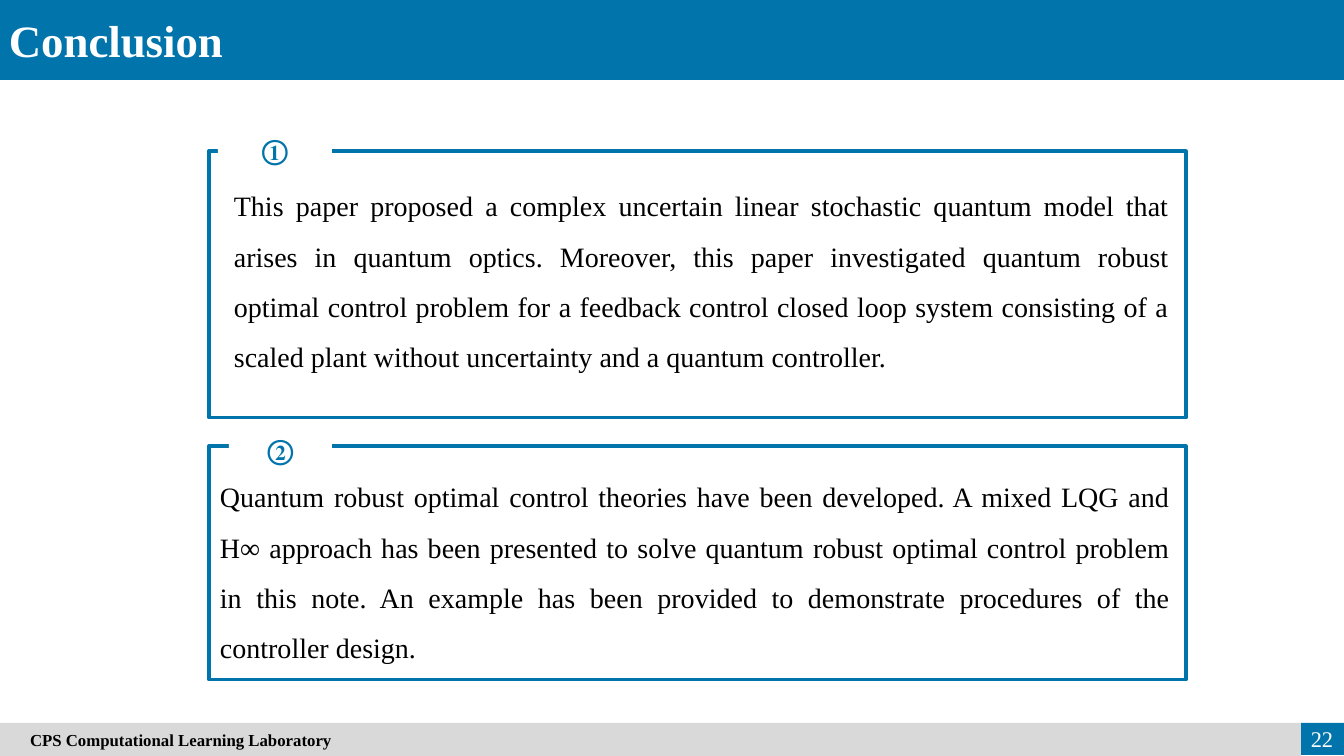
from pptx import Presentation
from pptx.dml.color import RGBColor
from pptx.enum.shapes import MSO_SHAPE
from pptx.enum.text import MSO_ANCHOR, PP_ALIGN
from pptx.util import Emu, Pt

RECTANGLE = MSO_SHAPE.RECTANGLE
TOP, MIDDLE = MSO_ANCHOR.TOP, MSO_ANCHOR.MIDDLE
LEFT, CENTER, RIGHT, JUSTIFY = (
    PP_ALIGN.LEFT, PP_ALIGN.CENTER, PP_ALIGN.RIGHT, PP_ALIGN.JUSTIFY)

FONT = "Times New Roman"
BLUE, WHITE, BLACK, GRAY = "0174AB", "FFFFFF", "000000", "D9D9D9"
EMU_PER_PX = 914400 / 100.8

FINDINGS = [
    {
        "frame": (209, 151, 977, 267),
        "badge": (218, 122, 114, 55),
        "body": (224, 167, 955, 242),
        "number": "①",
        "text": "This paper proposed a complex uncertain linear stochastic "
                "quantum model that arises in quantum optics. Moreover, this "
                "paper investigated quantum robust optimal control problem "
                "for a feedback control closed loop system consisting of a "
                "scaled plant without uncertainty and a quantum controller.",
    },
    {
        "frame": (209, 446, 977, 234),
        "badge": (229, 422, 103, 55),
        "body": (210, 458, 970, 208),
        "number": "②",
        "text": "Quantum robust optimal control theories have been developed. "
                "A mixed LQG and H∞ approach has been presented to solve "
                "quantum robust optimal control problem in this note. An "
                "example has been provided to demonstrate procedures of the "
                "controller design.",
    },
]


def px(length):
    return Emu(round(length * EMU_PER_PX))


def color(value):
    return RGBColor.from_string(value)


def add_rectangle(page, area, fill=None, line=None):
    box = page.shapes.add_shape(RECTANGLE, *map(px, area))
    box.shadow.inherit = False
    if fill:
        box.fill.solid()
        box.fill.fore_color.rgb = color(fill)
    else:
        box.fill.background()
    if line:
        box.line.color.rgb = color(line)
        box.line.width = Pt(2.25)
    else:
        box.line.fill.background()
    return box


def write(box, text, size, ink, bold=False, align=LEFT, anchor=MIDDLE,
          spacing=1.0):
    frame = box.text_frame
    frame.word_wrap = True
    frame.vertical_anchor = anchor
    para = frame.paragraphs[0]
    para.text = text
    para.alignment = align
    para.line_spacing = spacing
    for span in para.runs:
        span.font.name = FONT
        span.font.size = Pt(size)
        span.font.bold = bold
        span.font.color.rgb = color(ink)


def add_text(page, area, text, size, ink, **style):
    box = page.shapes.add_textbox(*map(px, area))
    write(box, text, size, ink, **style)


def add_finding(page, finding):
    add_rectangle(page, finding["frame"], line=BLUE)
    badge = add_rectangle(page, finding["badge"], fill=WHITE)
    write(badge, finding["number"], 20, BLUE, bold=True, align=CENTER)
    add_text(page, finding["body"], finding["text"], 20, BLACK,
             align=JUSTIFY, anchor=TOP, spacing=1.5)


def add_footer(page):
    add_rectangle(page, (1301, 723, 43, 32), fill=BLUE)
    footer = add_rectangle(page, (0, 723, 1301, 33), fill=GRAY)
    write(footer, "CPS Computational Learning Laboratory", 12, BLACK, bold=True)
    footer.text_frame.margin_left = px(30)
    add_text(page, (1279, 719, 64, 40), "22", 16, WHITE, align=RIGHT)


def main():
    deck = Presentation()
    deck.slide_width, deck.slide_height = px(1344), px(756)
    page = deck.slides.add_slide(deck.slide_layouts[6])
    add_rectangle(page, (0, 0, 1344, 80), fill=BLUE)
    add_text(page, (-1, 8, 541, 64), "Conclusion", 32, WHITE, bold=True,
             align=JUSTIFY, anchor=TOP)
    for finding in FINDINGS:
        add_finding(page, finding)
    add_footer(page)
    deck.save("out.pptx")


if __name__ == "__main__":
    main()
